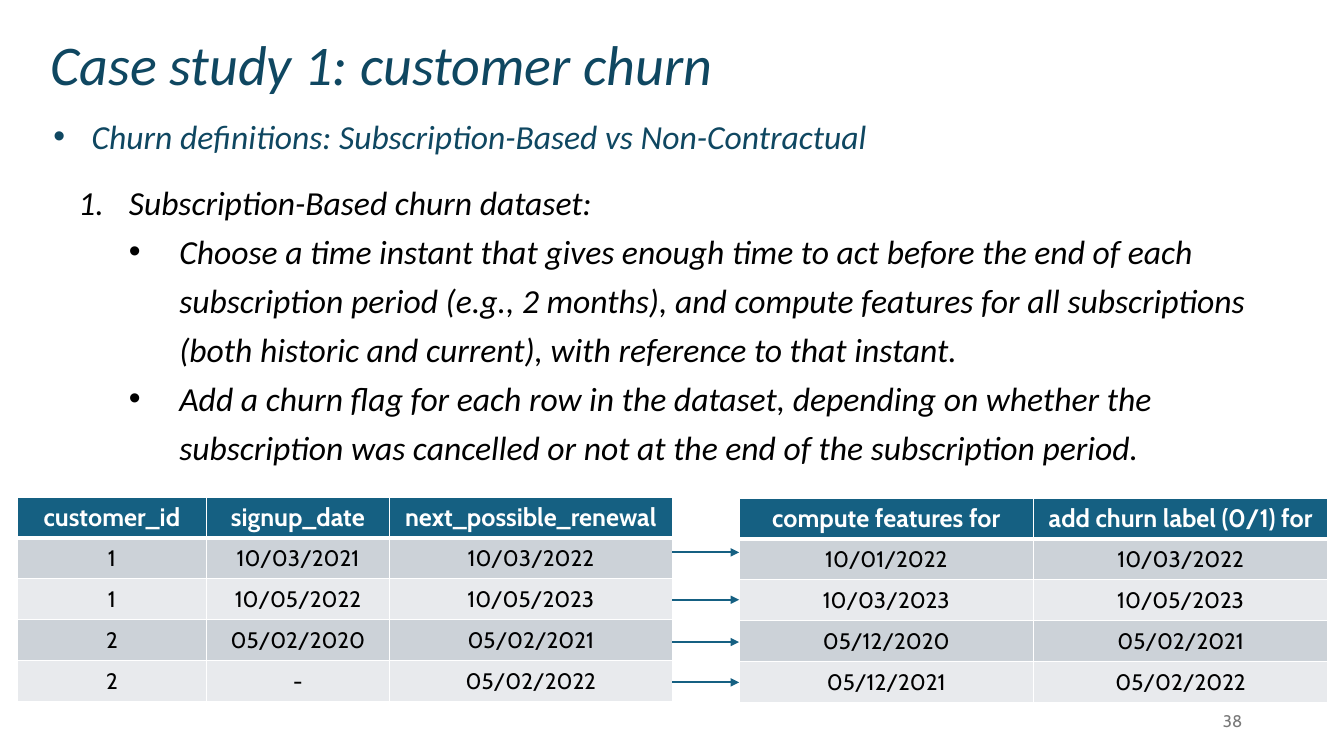
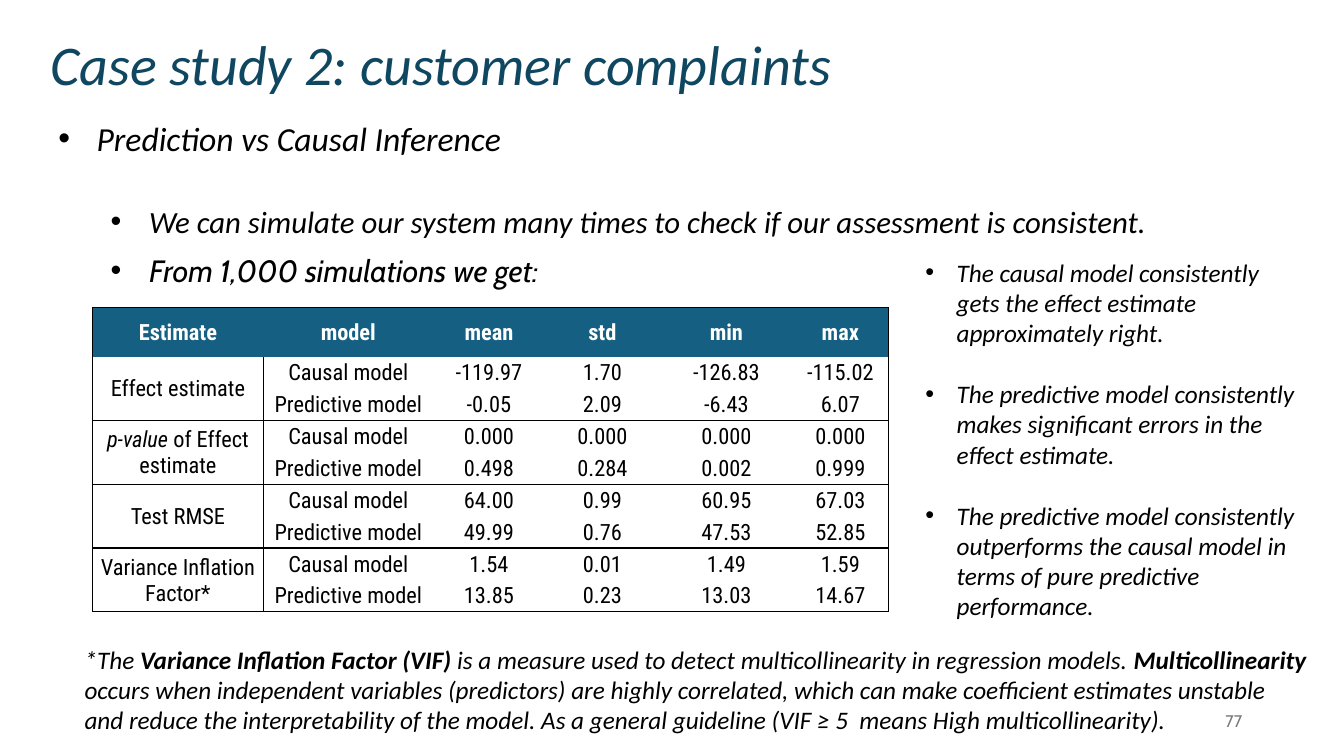
from dataclasses import dataclass
from typing import Callable, NamedTuple, Optional

from lxml import etree
from pptx import Presentation
from pptx import util as u
from pptx.dml import color as dml
from pptx.enum import shapes, text as t
from pptx.oxml import ns

PX = 9144
NAVY, TEAL, BLACK, WHITE, GREY = "0F4761", "156082", "000000", "FFFFFF", "797979"
BANDS = ("CCD2D8", "E8EAED")
BODY, LABEL, DATA = "Calibri", "Cabin", "Roboto Condensed"
TITLE_ONLY = 5


class Box(NamedTuple):
    left: int
    top: int
    width: int
    height: int


class Edge(NamedTuple):
    color: str
    points: float


Edges = dict[str, Optional[Edge]]


@dataclass(frozen=True)
class Item:
    text: str
    indent: int = 0
    hanging: int = 0
    bullet: str = ""
    size: int = 24
    font: str = BODY
    color: str = BLACK
    spacing: Optional[float] = None
    before: int = 0
    after: int = 0


@dataclass(frozen=True)
class Grid:
    box: Box
    columns: tuple[int, ...]
    header_height: float
    rows: list[list[str]]
    font: str
    header_size: int
    fills: tuple[str, ...]
    edges: Callable[[int, int], Edges]
    margins: tuple[int, int, int, int] = (10, 5, 10, 5)
    group: int = 1


def px(length: float) -> int:
    return u.Emu(round(length * PX))


def rgb(value: str) -> dml.RGBColor:
    return dml.RGBColor.from_string(value)


def write(paragraph, text: str, *, size: int, font: str, color: str = BLACK,
          bold: bool = False, italic: bool = False, emphasis: str = "bold") -> None:
    for index, part in enumerate(text.split("|")):
        if not part:
            continue
        run = paragraph.add_run()
        run.text = part
        run.font.size = u.Pt(size)
        run.font.name = font
        run.font.color.rgb = rgb(color)
        run.font.bold, run.font.italic = bold, italic
        if index % 2:
            setattr(run.font, emphasis, True)


def set_margins(target, left: int, top: int, right: int, bottom: int) -> None:
    target.margin_left, target.margin_top = px(left), px(top)
    target.margin_right, target.margin_bottom = px(right), px(bottom)


def add_bullet(paragraph, item: Item) -> None:
    properties = paragraph._p.get_or_add_pPr()
    properties.set("marL", str(px(item.indent)))
    properties.set("indent", str(px(-item.hanging)))
    if item.bullet == "1.":
        etree.SubElement(properties, ns.qn("a:buFont"), typeface="+mj-lt")
        etree.SubElement(properties, ns.qn("a:buAutoNum"), type="arabicPeriod")
    elif item.bullet:
        etree.SubElement(properties, ns.qn("a:buFont"), typeface="Arial")
        etree.SubElement(properties, ns.qn("a:buChar"), char=item.bullet)


def add_text(slide, box: Box, *items: Item) -> None:
    frame = slide.shapes.add_textbox(*map(px, box)).text_frame
    frame.word_wrap = True
    for index, item in enumerate(items):
        paragraph = frame.add_paragraph() if index else frame.paragraphs[0]
        if item.spacing:
            paragraph.line_spacing = item.spacing
        paragraph.space_before = u.Pt(item.before)
        paragraph.space_after = u.Pt(item.after)
        add_bullet(paragraph, item)
        write(paragraph, item.text, size=item.size, font=item.font,
              color=item.color, italic=True)


def add_slide(presentation, title: str, width: int, number: int):
    slide = presentation.slides.add_slide(presentation.slide_layouts[TITLE_ONLY])
    shape = slide.shapes.title
    shape.left, shape.top, shape.width, shape.height = map(px, (0, 1, width, 98))
    frame = shape.text_frame
    frame.word_wrap = True
    frame.auto_size = t.MSO_AUTO_SIZE.NONE
    frame.vertical_anchor = t.MSO_ANCHOR.TOP
    set_margins(frame, 50, 24, 0, 5)
    paragraph = frame.paragraphs[0]
    paragraph.alignment = t.PP_ALIGN.LEFT
    paragraph.line_spacing = 1.07
    write(paragraph, title, size=40, font=BODY, color=NAVY, italic=True)

    footer = slide.shapes.add_textbox(*map(px, (942, 695, 300, 40))).text_frame
    footer.word_wrap = True
    footer.vertical_anchor = t.MSO_ANCHOR.MIDDLE
    footer.paragraphs[0].alignment = t.PP_ALIGN.RIGHT
    write(footer.paragraphs[0], str(number), size=12, font=LABEL, color=GREY)
    return slide


def set_edges(cell, edges: Edges) -> None:
    properties = cell._tc.get_or_add_tcPr()
    for side in "LRTB":
        edge = edges[side]
        line = etree.SubElement(properties, ns.qn(f"a:ln{side}"))
        if edge is None:
            line.set("w", "0")
            etree.SubElement(line, ns.qn("a:noFill"))
        else:
            line.set("w", str(u.Pt(edge.points)))
            fill = etree.SubElement(line, ns.qn("a:solidFill"))
            etree.SubElement(fill, ns.qn("a:srgbClr"), val=edge.color)


def banded_edges(row: int, column: int) -> Edges:
    thin, thick = Edge(WHITE, 1), Edge(WHITE, 3)
    return {"L": thin, "R": thin, "T": thick if row == 1 else thin,
            "B": thin if row else thick}


def grouped_edges(row: int, column: int) -> Edges:
    shown = {
        "L": column == 0 or (column == 1 and row > 0),
        "R": column == 5 or (column == 0 and row > 0),
        "T": row == 0 or (row > 1 and row % 2 == 1),
        "B": row > 0 and (row % 2 == 0 or column == 0),
    }
    return {side: Edge(BLACK, 1) if visible else None for side, visible in shown.items()}


def add_grid(slide, grid: Grid) -> None:
    count = len(grid.rows)
    table = slide.shapes.add_table(count, len(grid.columns), *map(px, grid.box)).table
    table.horz_banding = False
    for column, width in zip(table.columns, grid.columns):
        column.width = px(width)
    body_height = (grid.box.height - grid.header_height) / (count - 1)
    for row, values in enumerate(grid.rows):
        header = row == 0
        table.rows[row].height = px(grid.header_height if header else body_height)
        for column, value in enumerate(values):
            cell = table.cell(row, column)
            set_edges(cell, grid.edges(row, column))
            cell.fill.solid()
            fill = TEAL if header else grid.fills[(row - 1) % len(grid.fills)]
            cell.fill.fore_color.rgb = rgb(fill)
            cell.vertical_anchor = t.MSO_ANCHOR.MIDDLE
            set_margins(cell, *grid.margins)
            paragraph = cell.text_frame.paragraphs[0]
            paragraph.alignment = t.PP_ALIGN.CENTER
            write(paragraph, value, size=grid.header_size if header else 16, font=grid.font,
                  color=WHITE if header else BLACK, bold=header, emphasis="italic")
    if grid.group > 1:
        for row in range(1, count, grid.group):
            table.cell(row, 0).merge(table.cell(row + grid.group - 1, 0))


def add_arrow(slide, left: int, right: int, y: int) -> None:
    connector = slide.shapes.add_connector(
        shapes.MSO_CONNECTOR.STRAIGHT, px(left), px(y), px(right), px(y))
    connector.line.color.rgb = rgb(TEAL)
    connector.line.width = u.Pt(1.5)
    properties = connector.element.spPr
    etree.SubElement(properties.find(ns.qn("a:ln")), ns.qn("a:tailEnd"), type="triangle")
    etree.SubElement(properties, ns.qn("a:effectLst"))


def build_churn(presentation) -> None:
    slide = add_slide(presentation, "Case study 1: customer churn", 724, 38)
    add_text(slide, Box(43, 107, 1152, 51),
             Item("Churn definitions: Subscription-Based vs Non-Contractual", 38, 38, "•",
                  color=NAVY, spacing=1.07, before=18, after=4))
    steps = [
        ("Subscription-Based churn dataset:", 100, "1."),
        ("Choose a time instant that gives enough time to act before the end of each "
         "subscription period (e.g., 2 months), and compute features for all subscriptions "
         "(both historic and current), with reference to that instant.", 150, "•"),
        ("Add a churn flag for each row in the dataset, depending on whether the "
         "subscription was cancelled or not at the end of the subscription period.", 150, "•"),
    ]
    add_text(slide, Box(18, 167, 1281, 301),
             *(Item(text, indent, 50, bullet, spacing=u.Pt(35))
               for text, indent, bullet in steps))
    subscriptions = [
        ["customer_id", "signup_date", "next_possible_renewal"],
        ["1", "10/03/2021", "10/03/2022"],
        ["1", "10/05/2022", "10/05/2023"],
        ["2", "05/02/2020", "05/02/2021"],
        ["2", "-", "05/02/2022"],
    ]
    instants = [
        ["compute features for", "add churn label (0/1) for"],
        ["10/01/2022", "10/03/2022"],
        ["10/03/2023", "10/05/2023"],
        ["05/12/2020", "05/02/2021"],
        ["05/12/2021", "05/02/2022"],
    ]
    for box, columns, rows in (
        (Box(17, 493, 650, 203), (188, 181, 281), subscriptions),
        (Box(733, 494, 584, 203), (292, 292), instants),
    ):
        add_grid(slide, Grid(box, columns, box.height / len(rows), rows, LABEL, 18,
                             BANDS, banded_edges))
    for y in (548, 595, 637, 677):
        add_arrow(slide, 667, 733, y)


def build_complaints(presentation) -> None:
    slide = add_slide(presentation, "Case study 2: customer complaints", 861, 77)
    add_text(slide, Box(48, 92, 1218, 64),
             Item("Prediction vs Causal Inference", 38, 38, "•", spacing=1.5))
    simulations = [
        ("We can simulate our system many times to check if our assessment is consistent.", BODY),
        ("From 1,000 simulations we get:", LABEL),
    ]
    add_text(slide, Box(0, 184, 1284, 104),
             *(Item(text, 138, 38, "•", 22, font, spacing=u.Pt(35))
               for text, font in simulations))
    estimates = [
        ("Effect estimate", "-119.97 1.70 -126.83 -115.02", "-0.05 2.09 -6.43 6.07"),
        ("|p-value| of Effect estimate", "0.000 0.000 0.000 0.000", "0.498 0.284 0.002 0.999"),
        ("Test RMSE", "64.00 0.99 60.95 67.03", "49.99 0.76 47.53 52.85"),
        ("Variance Inflation Factor*", "1.54 0.01 1.49 1.59", "13.85 0.23 13.03 14.67"),
    ]
    rows = [["Estimate", "model", "mean", "std", "min", "max"]]
    for name, causal, predictive in estimates:
        rows.append([name, "Causal model", *causal.split()])
        rows.append(["", "Predictive model", *predictive.split()])
    add_grid(slide, Grid(Box(92, 305, 788, 302), (169, 169, 110, 115, 131, 95), 49, rows,
                         DATA, 16, (WHITE,), grouped_edges, (1, 1, 1, 0), group=2))
    findings = (
        "The causal model consistently gets the effect estimate approximately right.",
        "The predictive model consistently makes significant errors in the effect estimate.",
        "The predictive model consistently outperforms the causal model in terms of pure "
        "predictive performance.",
    )
    add_text(slide, Box(808, 250, 490, 374),
             *(Item(text, 131, 31, "•", 18, after=22) for text in findings))
    add_text(slide, Box(74, 634, 1235, 101), Item(
        "*The |Variance Inflation Factor (VIF)| is a measure used to detect multicollinearity "
        "in regression models. |Multicollinearity| occurs when independent variables "
        "(predictors) are highly correlated, which can make coefficient estimates unstable "
        "and reduce the interpretability of the model. As a general guideline "
        "(VIF ≥ 5  means High multicollinearity).", size=18))


def main() -> None:
    presentation = Presentation()
    presentation.slide_width, presentation.slide_height = px(1333), px(750)
    build_churn(presentation)
    build_complaints(presentation)
    presentation.save("out.pptx")


if __name__ == "__main__":
    main()
